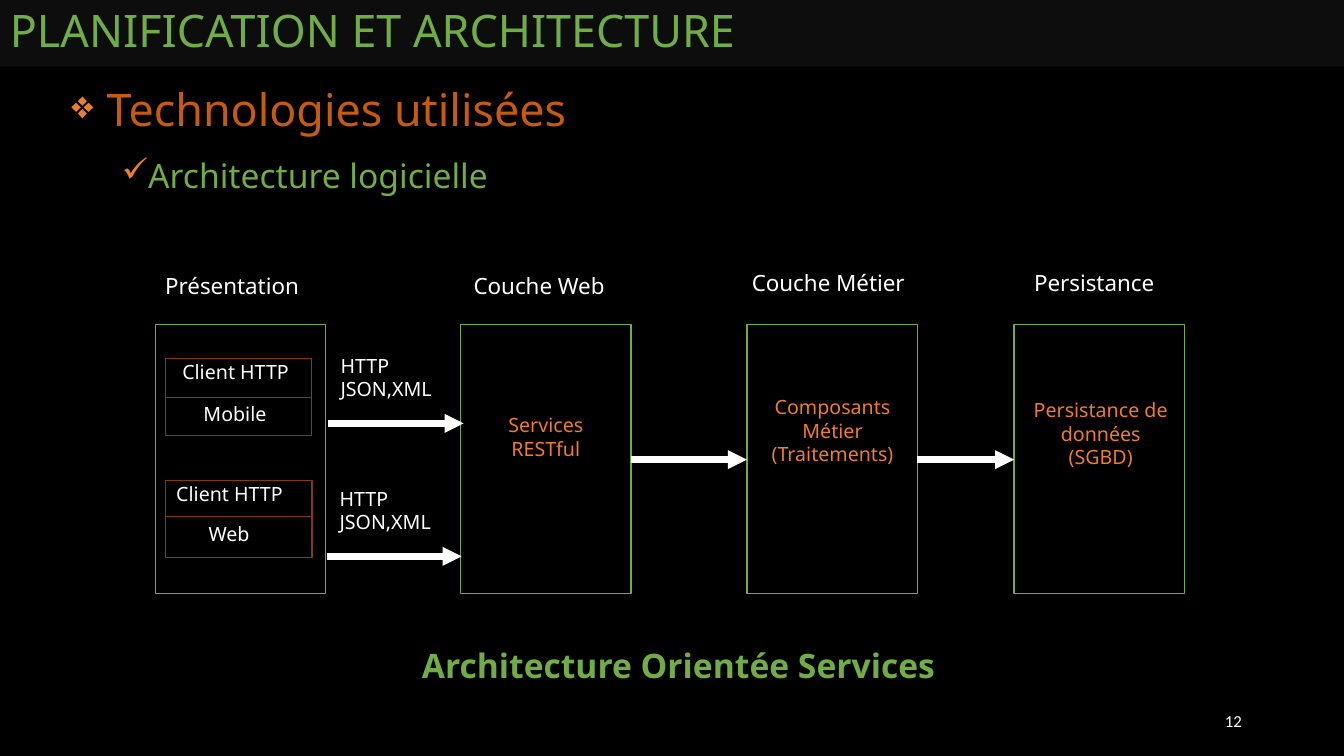
from dataclasses import dataclass

from pptx import Presentation
from pptx.dml.color import RGBColor
from pptx.enum.shapes import MSO_CONNECTOR, MSO_SHAPE
from pptx.enum.text import MSO_ANCHOR, PP_ALIGN
from pptx.oxml import parse_xml
from pptx.oxml.ns import nsdecls, qn
from pptx.util import Inches, Pt


@dataclass(frozen=True)
class Theme:
    """Colours, fonts, type sizes and line widths."""
    black: str = "000000"
    band: str = "0D0D0D"
    white: str = "FFFFFF"
    green: str = "70AD47"
    amber: str = "ED7D31"
    rust: str = "C55A11"
    brown: str = "843C0B"
    font: str = "Noto Sans"
    plain: str = "Calibri"
    title: int = 32
    gap: int = 28
    head: int = 24
    label: int = 16
    body: int = 14
    small: int = 12
    edge: float = 1
    thin: float = 0.5
    bold: float = 4.5


LOOK = Theme()
WIDE, HIGH = Inches(13.33), Inches(7.5)
COLS, ROWS = 160, 90
BOX_TOP, BOX_WIDE, BOX_HIGH = 38.64, 20.28, 32.04
CARD_WIDE, CARD_HIGH = 17.4, 9.12
NOTE_WIDE = 17.28
LINE_HIGH = 4.1


def across(cols):
    """Turn grid columns into a length."""
    return round(WIDE * cols / COLS)


def down(rows):
    """Turn grid rows into a length."""
    return round(HIGH * rows / ROWS)


def place(left, top, wide, high):
    """Turn a grid cell into a position and size."""
    return across(left), down(top), across(wide), down(high)


def paint(run, size=LOOK.body, tint=LOOK.white, font=LOOK.font, bold=False):
    """Format one run."""
    run.font.size = Pt(size)
    run.font.name = font
    run.font.bold = bold
    run.font.color.rgb = RGBColor.from_string(tint)


def write(frame, text, align=PP_ALIGN.LEFT, anchor=MSO_ANCHOR.TOP,
          wrap=True, space=None, **style):
    """Fill a text frame, one paragraph a line."""
    frame.word_wrap = wrap
    frame.vertical_anchor = anchor
    for rank, line in enumerate(text.split("\n")):
        para = frame.add_paragraph() if rank else frame.paragraphs[0]
        para.alignment = align
        para.line_spacing = space
        run = para.add_run()
        run.text = line
        paint(run, **style)


def note(slide, spot, text, **style):
    """Add a text box in a grid cell."""
    frame = slide.shapes.add_textbox(*place(*spot)).text_frame
    write(frame, text, **style)


def panel(slide, spot, fill=LOOK.black, edge=None):
    """Add a filled rectangle with an optional outline."""
    shape = slide.shapes.add_shape(MSO_SHAPE.RECTANGLE, *place(*spot))
    shape.shadow.inherit = False
    shape.fill.solid()
    shape.fill.fore_color.rgb = RGBColor.from_string(fill)
    if edge:
        shape.line.color.rgb = RGBColor.from_string(edge)
        shape.line.width = Pt(LOOK.edge)
    else:
        shape.line.fill.background()
    return shape


def rule(slide, left, right, row, tint, width, arrow=False):
    """Draw a level line, with an arrowhead if asked."""
    line = slide.shapes.add_connector(
        MSO_CONNECTOR.STRAIGHT, across(left), down(row), across(right), down(row))
    line.line.color.rgb = RGBColor.from_string(tint)
    line.line.width = Pt(width)
    props = line._element.spPr
    props.append(parse_xml(f"<a:effectLst {nsdecls('a')}/>"))
    if arrow:
        props.find(qn("a:ln")).append(
            parse_xml(f'<a:tailEnd {nsdecls("a")} type="triangle"/>'))


def bullet(para, mark, indent, before, space):
    """Give a paragraph a hanging bullet and spacing."""
    para.line_spacing = space
    para.space_before = Pt(before)
    props = para._p.get_or_add_pPr()
    props.set("marL", str(across(indent)))
    props.set("indent", str(-across(3)))
    props.append(parse_xml(
        f'<a:buClr {nsdecls("a")}><a:srgbClr val="{LOOK.amber}"/></a:buClr>'))
    props.append(parse_xml(f'<a:buChar {nsdecls("a")} char="{mark}"/>'))


def topics(slide):
    """Add the two bulleted headings."""
    frame = slide.shapes.add_textbox(*place(7.32, 9.2, 145.32, 74.76)).text_frame
    frame.word_wrap = True
    items = (
        ("❖", 3, 10, 1.0, ((" ", LOOK.gap, LOOK.white),
                           ("Technologies utilisées", LOOK.title, LOOK.rust))),
        ("✓", 9, 5, 1.3, (("Architecture logicielle", LOOK.head, LOOK.green),)),
    )
    for rank, (mark, indent, before, space, runs) in enumerate(items):
        para = frame.add_paragraph() if rank else frame.paragraphs[0]
        para.level = rank
        bullet(para, mark, indent, before, space)
        for text, size, tint in runs:
            run = para.add_run()
            run.text = text
            paint(run, size=size, tint=tint)


def layer(slide, left, name, spot, text=None, cell=None):
    """Add one layer: its box, its name and its content."""
    panel(slide, (left, BOX_TOP, BOX_WIDE, BOX_HIGH), edge=LOOK.green)
    note(slide, (*spot, 22.1, 4.44), name, size=LOOK.label)
    if text:
        note(slide, cell, text, align=PP_ALIGN.CENTER, tint=LOOK.amber)


def client(slide, left, top, split, head, kind, base):
    """Add a client card with its two lines and its link."""
    panel(slide, (left, top, CARD_WIDE, CARD_HIGH), edge=LOOK.brown)
    rule(slide, left, left + CARD_WIDE, split, LOOK.brown, LOOK.thin)
    note(slide, (head, top - 0.48, NOTE_WIDE, LINE_HIGH), "Client HTTP")
    note(slide, (kind, split, NOTE_WIDE, LINE_HIGH), base)


def link(slide, left, top, start, end, row):
    """Add a labelled arrow from a client to the web layer."""
    note(slide, (left, top, NOTE_WIDE, 6.84), "HTTP\nJSON,XML")
    rule(slide, start, end, row, LOOK.white, LOOK.bold, arrow=True)


def main():
    """Build and save the slide."""
    deck = Presentation()
    deck.slide_width, deck.slide_height = WIDE, HIGH
    slide = deck.slides.add_slide(deck.slide_layouts[6])
    back = slide.background.fill
    back.solid()
    back.fore_color.rgb = RGBColor.from_string(LOOK.black)

    band = panel(slide, (0, 0, COLS, 7.92), fill=LOOK.band)
    write(band.text_frame, "PLANIFICATION ET ARCHITECTURE", space=0.9,
          anchor=MSO_ANCHOR.MIDDLE, size=LOOK.title, tint=LOOK.green)
    topics(slide)

    layer(slide, 18.48, "Présentation", (18.48, 31.8))
    layer(slide, 54.84, "Couche Web", (55.2, 31.8),
          "Services RESTful", (55.8, 48.6, 18.36, 6.84))
    layer(slide, 88.92, "Couche Métier", (88.32, 31.44),
          "Composants Métier (Traitements)", (89.16, 46.44, 19.92, 9.72))
    layer(slide, 120.72, "Persistance", (121.92, 31.44),
          "Persistance de données (SGBD)", (121.08, 46.8, 19.92, 9.72))

    client(slide, 19.68, 42.72, 47.28, 20.52, 23.04, "Mobile")
    client(slide, 19.74, 57.24, 61.5, 19.8, 23.64, "Web")
    link(slide, 39.36, 41.52, 39, 55.2, 50.4)
    link(slide, 39.24, 57.36, 38.88, 54.96, 66.24)
    for start, end in ((75.12, 88.92), (109.2, 120.72)):
        rule(slide, start, end, 54.72, LOOK.white, LOOK.bold, arrow=True)

    note(slide, (48.24, 76.2, 65.04, 6), "Architecture Orientée Services",
         align=PP_ALIGN.CENTER, wrap=False, size=LOOK.head,
         tint=LOOK.green, bold=True)
    note(slide, (113.04, 83.4, 36, 4.8), "12", align=PP_ALIGN.RIGHT,
         anchor=MSO_ANCHOR.MIDDLE, size=LOOK.small, font=LOOK.plain)
    deck.save("out.pptx")


if __name__ == "__main__":
    main()
